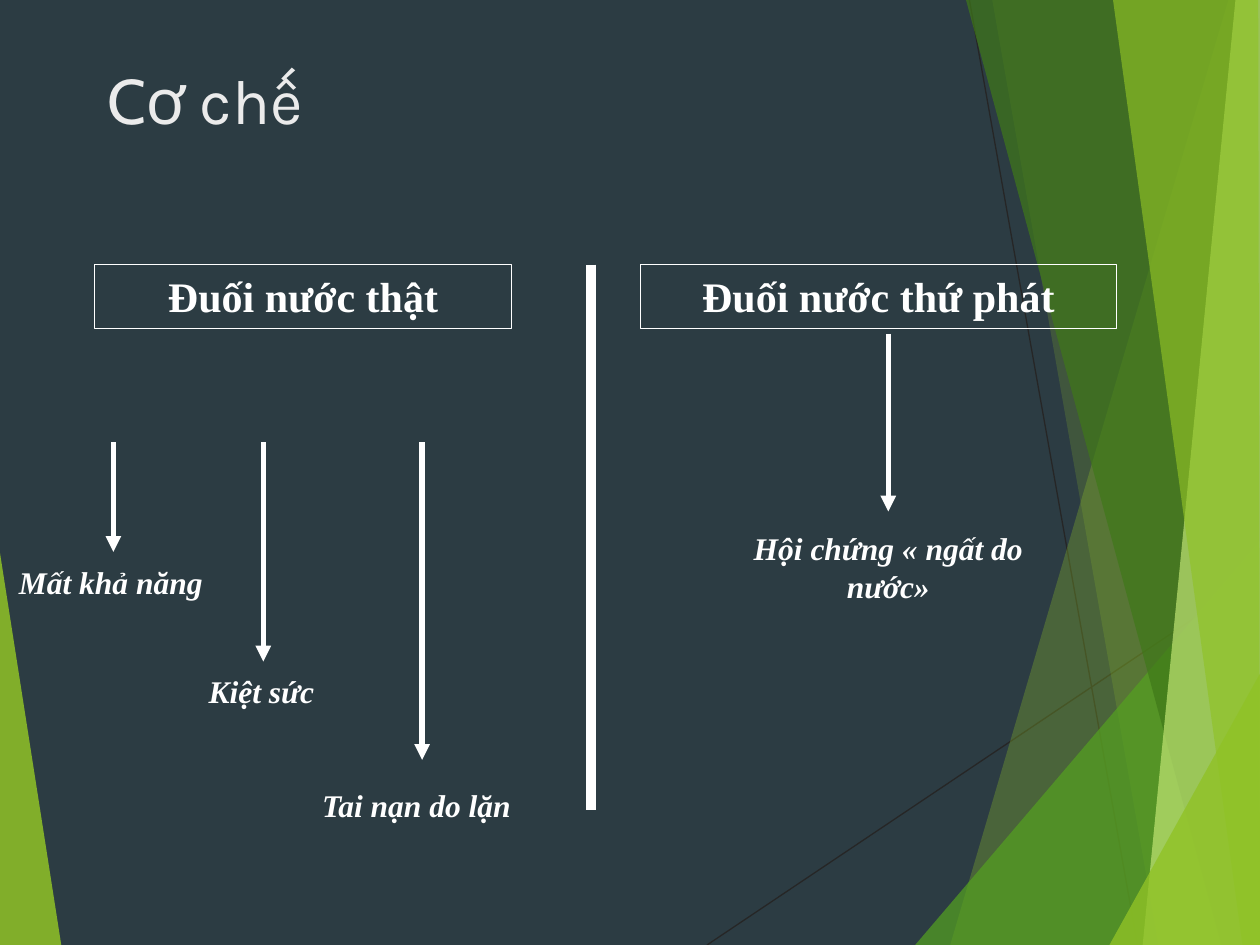
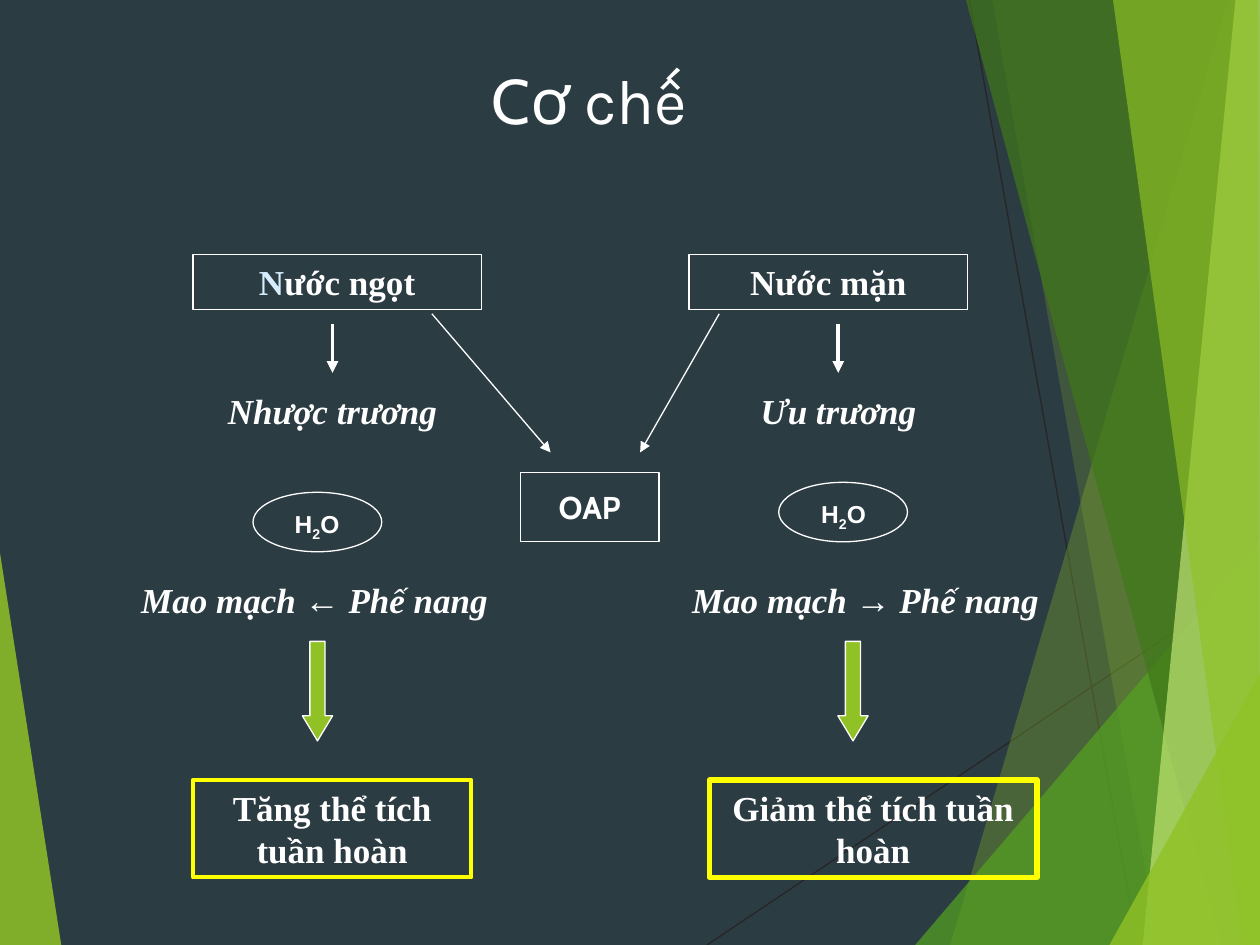
import pptx
import pptx.util
import pptx.dml.color
import pptx.enum.shapes
import pptx.enum.text
from lxml import etree

Pt = pptx.util.Pt
SHAPE = pptx.enum.shapes.MSO_SHAPE
ALIGN = pptx.enum.text.PP_ALIGN
ANCHOR = pptx.enum.text.MSO_ANCHOR
DRAWING = "{http://schemas.openxmlformats.org/drawingml/2006/main}"

WIDTH, HEIGHT = 720, 540
COLOURS = {
    "ground": "2C3C43", "thread": "262626", "lime": "90C226", "green": "54A021",
    "forest": "3F7819", "pale": "C0E474", "white": "FFFFFF", "title": "EBEBEB",
    "ice": "D6ECFF", "yellow": "FFFF00",
}
SERIF = "Times New Roman"

THREADS = [((404, 540), (720, 328)), ((554, 0), (650, 540))]
SHARDS = [
    ("lime", 85, [(0, 316), (35, 540), (0, 540)]),
    ("lime", 30, [(702, 0), (543, 540), (720, 540), (720, 0)]),
    ("lime", 20, [(567, 0), (662, 540), (720, 540), (720, 0)]),
    ("green", 72, [(523, 540), (720, 309), (720, 540)]),
    ("forest", 70, [(552, 0), (698, 540), (720, 540), (720, 0)]),
    ("pale", 70, [(706, 0), (653, 540), (720, 540), (720, 0)]),
    ("lime", 65, [(636, 0), (710, 540), (720, 540), (719, 0)]),
    ("lime", 80, [(634, 540), (720, 385), (720, 540)]),
]

TITLE = ["C", "ơ chế"]
DROWNING_TYPES = [
    ("Đuối nước thật", (54, 151.2, 238.3, 36.4)),
    ("Đuối nước thứ phát", (365.8, 151.2, 272.2, 36.4)),
]
DIVIDER = ((337.7, 151.2), (337.7, 463))
CAUSES = [
    ("Mất khả năng", 64.8, 252.7, 315.4, (0, 318.2, 126.7, 29)),
    ("Kiệt sức", 150.5, 252.7, 378, (84.2, 380.4, 130.3, 29)),
    ("Tai nạn do lặn", 241.2, 252.7, 434.2, (161.3, 445.7, 153.4, 29)),
    ("Hội chứng «\u00a0ngất do nước»", 507.6, 190.8, 292.3, (416.9, 298.8, 181.4, 50.4)),
]

WATERS = [
    {
        "name": (["N", "ước ngọt"], (110.2, 145.4, 164.9, 31.7)),
        "tonicity": ("Nhược trương", (105.1, 218.9, 169.9, 31.7)),
        "tonicity_x": 190,
        "edema_arrow": ((246.8, 179.3), (314.6, 258.5)),
        "oval": (144.6, 281.3),
        "formula": (161.3, 287.3, 73.4, 26.6),
        "flow": ("Mao mạch ← Phế nang", (73.6, 326.9, 226.8, 31.7)),
        "block_x": 172.8,
        "outcome": ("Tăng thể tích tuần hoàn", (110.2, 445.7, 159.1, 55.7), 2.25),
    },
    {
        "name": (["Nước mặn"], (393.8, 145.4, 159.1, 31.7)),
        "tonicity": ("Ưu trương", (399.6, 218.9, 159.1, 31.7)),
        "tonicity_x": 479,
        "edema_arrow": ((411, 179.3), (365.8, 258.5)),
        "oval": (445, 275.6),
        "formula": (462.2, 281.5, 79.2, 26.6),
        "flow": ("Mao mạch → Phế nang", (388.4, 326.9, 232.6, 31.7)),
        "block_x": 478.8,
        "outcome": ("Giảm thể tích tuần hoàn", (405.4, 445.7, 187.2, 55.7), 3),
    },
]
FORMULA = ["H", "2", "O"]
EDEMA = ("OAP", (297.4, 270, 79.2, 39.6))


def colour(name):
    return pptx.dml.color.RGBColor.from_string(COLOURS[name])


def points(values):
    return [Pt(value) for value in values]


def fill_shape(shape, fill, line, weight):
    shape.shadow.inherit = False
    if fill:
        shape.fill.solid()
        shape.fill.fore_color.rgb = colour(fill)
    else:
        shape.fill.background()
    if line:
        shape.line.color.rgb = colour(line)
        shape.line.width = Pt(weight)
    else:
        shape.line.fill.background()


def write(frame, texts, size, font, bold=True, italic=False, align=ALIGN.CENTER, ink="white"):
    para = frame.paragraphs[0]
    para.alignment = align
    for text in texts:
        span = para.add_run()
        span.text = text
        span.font.size = Pt(size)
        span.font.name = font
        span.font.bold = bold
        span.font.italic = italic
        span.font.color.rgb = colour(ink)
    return para.runs


def add_figure(page, kind, place, fill=None, line="white", weight=0.75):
    shape = page.shapes.add_shape(kind, *points(place))
    fill_shape(shape, fill, line, weight)
    return shape


def add_frame(page, texts, place, size, **outline):
    box = add_figure(page, SHAPE.RECTANGLE, place, **outline)
    box.text_frame.word_wrap = True
    box.text_frame.vertical_anchor = ANCHOR.TOP
    return write(box.text_frame, texts, size, SERIF)


def add_label(page, texts, place, size, font=SERIF, italic=True, align=ALIGN.CENTER):
    box = page.shapes.add_textbox(*points(place))
    box.text_frame.word_wrap = True
    return write(box.text_frame, texts, size, font, italic=italic, align=align)


def add_line(page, start, end, weight, ink="white", arrow=False):
    line = page.shapes.add_connector(
        pptx.enum.shapes.MSO_CONNECTOR.STRAIGHT, *points(start + end))
    line.line.color.rgb = colour(ink)
    line.line.width = Pt(weight)
    properties = line.element.spPr
    if arrow:
        etree.SubElement(properties.find(DRAWING + "ln"), DRAWING + "tailEnd", type="triangle")
    etree.SubElement(properties, DRAWING + "effectLst")
    return line


def add_shard(page, ink, opacity, corners):
    builder = page.shapes.build_freeform(*corners[0], scale=Pt(1))
    builder.add_line_segments(corners[1:], close=True)
    shard = builder.convert_to_shape()
    fill_shape(shard, ink, None, 0)
    tint = shard.element.spPr.find(DRAWING + "solidFill")[0]
    etree.SubElement(tint, DRAWING + "alpha", val=str(opacity * 1000))
    return shard


def decorate_layout(layout, page):
    parts = [add_line(page, start, end, 0.75, "thread") for start, end in THREADS]
    parts += [add_shard(page, *shard) for shard in SHARDS]
    for part in parts:
        layout.shapes.element.append(part.element)


def add_title(page, place, ink, align):
    title = page.shapes.title
    title.left, title.top, title.width, title.height = points(place)
    title.text_frame.vertical_anchor = ANCHOR.TOP
    spans = write(title.text_frame, TITLE, 36, "Cabin", bold=False, align=align, ink=ink)
    spans[1].font.name = "Karla"


def build_types(page):
    add_title(page, (54, 31.7, 612, 90), "title", ALIGN.LEFT)
    add_line(page, *DIVIDER, 6)
    for name, place in DROWNING_TYPES:
        add_frame(page, [name], place, 24)
    for cause, x, top, bottom, place in CAUSES:
        add_line(page, (x, top), (x, bottom), 3, arrow=True)
        add_label(page, [cause], place, 18)


def build_waters(page):
    add_title(page, (246.2, 31.7, 181.4, 51.1), "white", ALIGN.CENTER)
    for water in WATERS:
        texts, place = water["name"]
        spans = add_frame(page, texts, place, 20)
        if len(spans) > 1:
            spans[0].font.color.rgb = colour("ice")
        x = water["tonicity_x"]
        add_line(page, (x, 185), (x, 213.1), 2.25, arrow=True)
        text, place = water["tonicity"]
        add_label(page, [text], place, 20)
        add_line(page, *water["edema_arrow"], 0.75, arrow=True)
        add_figure(page, SHAPE.OVAL, water["oval"] + (73.6, 34))
        spans = add_label(page, FORMULA, water["formula"], 14, "Arial", False, ALIGN.LEFT)
        spans[1].font._element.set("baseline", "-25000")
        text, place = water["flow"]
        add_label(page, [text], place, 20, align=ALIGN.LEFT)
        block = add_figure(page, SHAPE.DOWN_ARROW, (water["block_x"], 366.5, 17.3, 56.9), "lime")
        block.adjustments[1] = 0.83
        text, place, weight = water["outcome"]
        add_frame(page, [text], place, 20, line="yellow", weight=weight)
    text, place = EDEMA
    box = add_figure(page, SHAPE.RECTANGLE, place, "ground")
    box.text_frame.word_wrap = False
    box.text_frame.vertical_anchor = ANCHOR.MIDDLE
    write(box.text_frame, [text], 18, "Cabin")


def main():
    deck = pptx.Presentation()
    deck.slide_width, deck.slide_height = Pt(WIDTH), Pt(HEIGHT)
    ground = deck.slide_master.background.fill
    ground.solid()
    ground.fore_color.rgb = colour("ground")
    layout = deck.slide_layouts[5]
    pages = [deck.slides.add_slide(layout) for _ in range(2)]
    decorate_layout(layout, pages[0])
    build_types(pages[0])
    build_waters(pages[1])
    deck.save("out.pptx")


if __name__ == "__main__":
    main()
